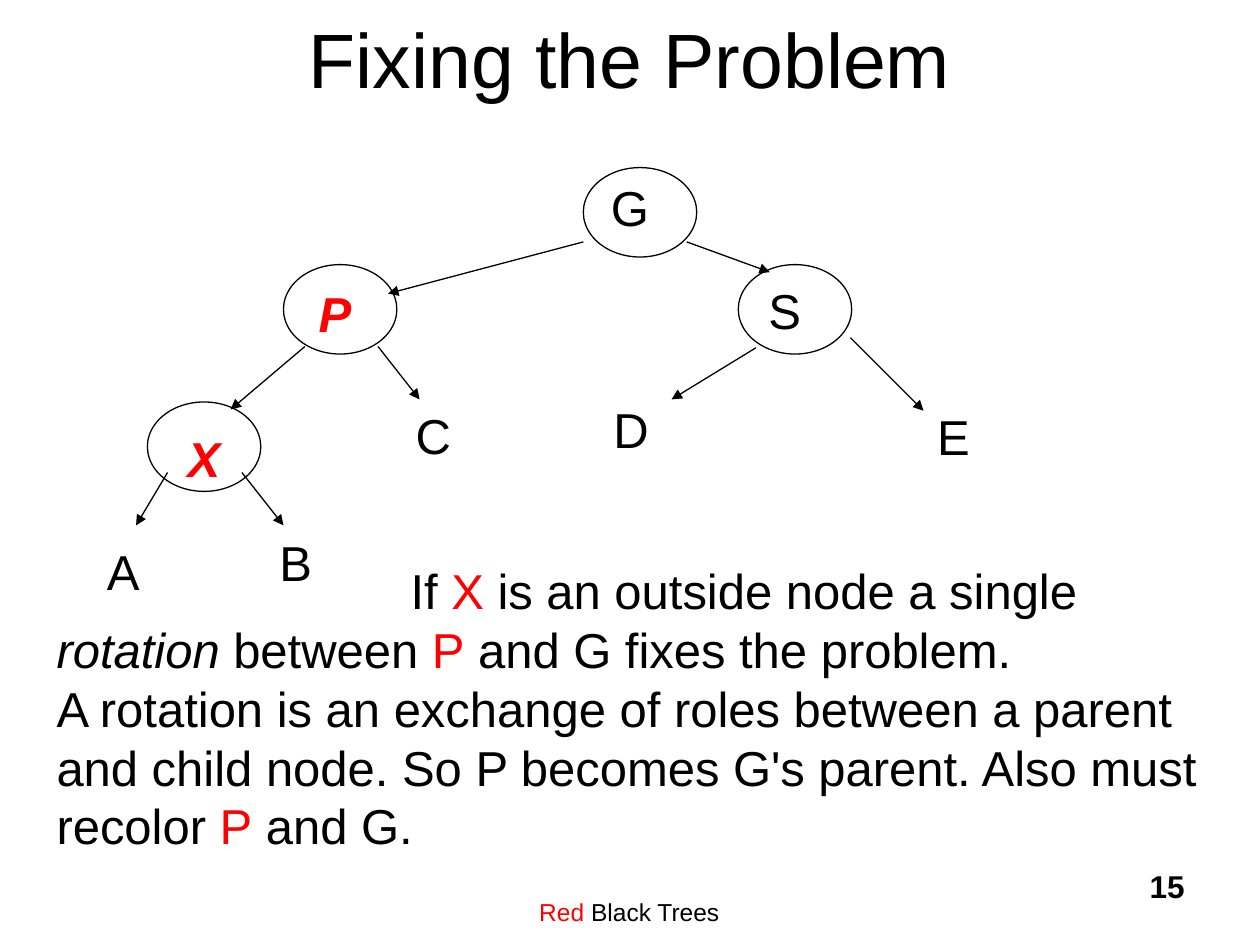
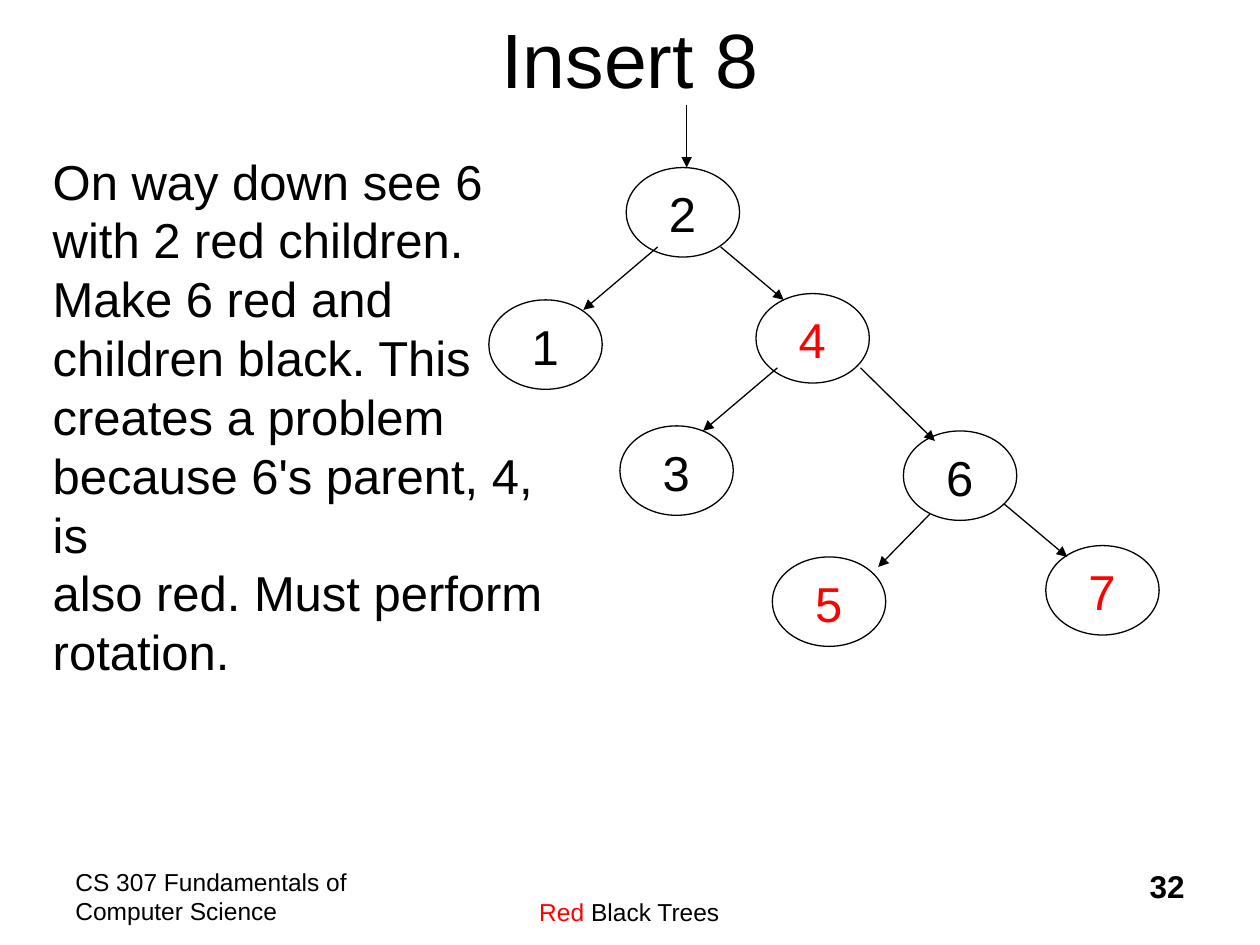
"""Builds two slides on fixing red black trees."""
from lxml import etree
from pptx import Presentation
from pptx import util as u
from pptx.dml.color import RGBColor
from pptx.enum import shapes, text
from pptx.oxml import ns

BLACK = RGBColor(0, 0, 0)
RED = RGBColor(255, 0, 0)
FONT = "Arial"
EMU_PER_PX = 9144
TITLE_ONLY = 5
NODE_WIDTH, NODE_HEIGHT = 90, 71
LABEL_HEIGHT = 57
LETTER_WIDTHS = {"G": 50, "C": 48, "D": 48}
LEFT, CENTER, RIGHT = text.PP_ALIGN.LEFT, text.PP_ALIGN.CENTER, text.PP_ALIGN.RIGHT


def px(*lengths):
    return [u.Emu(length * EMU_PER_PX) for length in lengths]


class Deck:
    def __init__(self):
        self.presentation = Presentation()
        self.presentation.slide_width, self.presentation.slide_height = px(1000, 750)
        self.slide = None

    def start_slide(self, title, number):
        layout = self.presentation.slide_layouts[TITLE_ONLY]
        self.slide = self.presentation.slides.add_slide(layout)
        shape = self.slide.shapes.title
        shape.left, shape.top, shape.width, shape.height = px(75, -17, 850, 125)
        frame = shape.text_frame
        frame.auto_size = text.MSO_AUTO_SIZE.NONE
        frame.vertical_anchor = text.MSO_ANCHOR.MIDDLE
        self.fill_paragraph(frame.paragraphs[0], [(title, {})], 44, CENTER)
        self.text_box((308, 683, 383, 50), [("Red", {"color": RED}), (" Black Trees", {})],
                      14, CENTER, margin_top=29)
        self.text_box((742, 683, 208, 50), [(str(number), {"bold": True})], 18, RIGHT)

    def fill_paragraph(self, paragraph, runs, size, align=LEFT):
        paragraph.alignment = align
        paragraph.font.name = FONT
        paragraph.font.size = u.Pt(size)
        for content, style in runs:
            for index, line in enumerate(content.split("\n")):
                if index:
                    paragraph.add_line_break()
                if line:
                    run = paragraph.add_run()
                    run.text = line
                    run.font.color.rgb = style.get("color", BLACK)
                    run.font.bold = style.get("bold")
                    run.font.italic = style.get("italic")

    def text_box(self, box, runs, size=28, align=LEFT, wrap=True, margin_top=5, indent=0):
        frame = self.slide.shapes.add_textbox(*px(*box)).text_frame
        frame.word_wrap = wrap
        if not wrap:
            frame.auto_size = text.MSO_AUTO_SIZE.SHAPE_TO_FIT_TEXT
        frame.margin_left, frame.margin_right = px(10, 10)
        frame.margin_top, frame.margin_bottom = px(margin_top, 5)
        paragraph = frame.paragraphs[0]
        if indent:
            properties = paragraph._p.get_or_add_pPr()
            properties.set("marL", "0")
            properties.set("indent", str(indent * EMU_PER_PX))
        self.fill_paragraph(paragraph, runs, size, align)

    def label(self, name, left, top, **style):
        width = 41 if name.isdigit() else LETTER_WIDTHS.get(name, 46)
        self.text_box((left, top, width, LABEL_HEIGHT), [(name, style)], wrap=False)

    def node(self, name, left, top, label_offset=(24, 8), **style):
        shape = self.slide.shapes.add_shape(
            shapes.MSO_SHAPE.OVAL, *px(left, top, NODE_WIDTH, NODE_HEIGHT))
        shape.shadow.inherit = False
        shape.fill.background()
        shape.line.color.rgb = BLACK
        shape.line.width = u.Pt(0.75)
        self.label(name, left + label_offset[0], top + label_offset[1], **style)

    def arrow(self, *ends):
        connector = self.slide.shapes.add_connector(shapes.MSO_CONNECTOR.STRAIGHT, *px(*ends))
        connector.line.color.rgb = BLACK
        connector.line.width = u.Pt(0.75)
        etree.SubElement(connector.line._get_or_add_ln(), ns.qn("a:tailEnd"), type="triangle")
        etree.SubElement(connector._element.spPr, ns.qn("a:effectLst"))


def build_rotation_slide(deck):
    deck.start_slide("Fixing the Problem", 15)
    emphasis = {"color": RED, "bold": True, "italic": True}
    deck.node("G", 463, 133, (12, 3))
    deck.node("P", 225, 210, (18, 10), **emphasis)
    deck.node("S", 586, 210, (14, 8))
    deck.node("X", 117, 319, (22, 16), **emphasis)
    for name, left, top in (("A", 75, 425), ("B", 212, 418), ("C", 320, 317),
                            ("D", 477, 312), ("E", 734, 318)):
        deck.label(name, left, top)
    for ends in ((463, 192, 308, 233), (545, 192, 611, 216), (675, 268, 733, 326),
                 (600, 276, 533, 317), (242, 275, 183, 325), (300, 275, 333, 317),
                 (133, 375, 108, 417), (192, 375, 225, 417)):
        deck.arrow(*ends)
    red = {"color": RED}
    deck.text_box((35, 440, 938, 300), [
        ("If ", {}), ("X", red), (" is an outside node a single\n", {}),
        ("rotation", {"italic": True}), (" between ", {}), ("P", red),
        (" and G fixes the problem.\n"
         "A rotation is an exchange of roles between a parent\n"
         "and child node. So P becomes G's parent. Also must\n"
         "recolor ", {}), ("P", red), (" and G.", {})], wrap=False, indent=281)


def build_insert_slide(deck):
    deck.start_slide("Insert 8", 32)
    deck.text_box((50, 683, 250, 50), [("CS 307 Fundamentals of Computer Science", {})], 14)
    for name, left, top, color in (
            ("2", 497, 133, BLACK), ("1", 388, 238, BLACK), ("4", 600, 233, RED),
            ("3", 492, 338, BLACK), ("6", 717, 342, BLACK), ("5", 613, 442, RED),
            ("7", 830, 433, RED)):
        deck.node(name, left, top, color=color)
    for ends in ((545, 83, 545, 133), (572, 196, 622, 238), (522, 196, 463, 246),
                 (683, 292, 742, 350), (617, 292, 558, 342), (738, 408, 697, 450),
                 (797, 400, 847, 442)):
        deck.arrow(*ends)
    deck.text_box((32, 115, 439, 384), [
        ("On way down see 6\nwith 2 red children.\nMake 6 red and\n"
         "children black. This\ncreates a problem\nbecause 6's parent, 4, is\n"
         "also red. Must perform\nrotation.", {})], wrap=False)


def main():
    deck = Deck()
    build_rotation_slide(deck)
    build_insert_slide(deck)
    deck.presentation.save("out.pptx")


if __name__ == "__main__":
    main()
